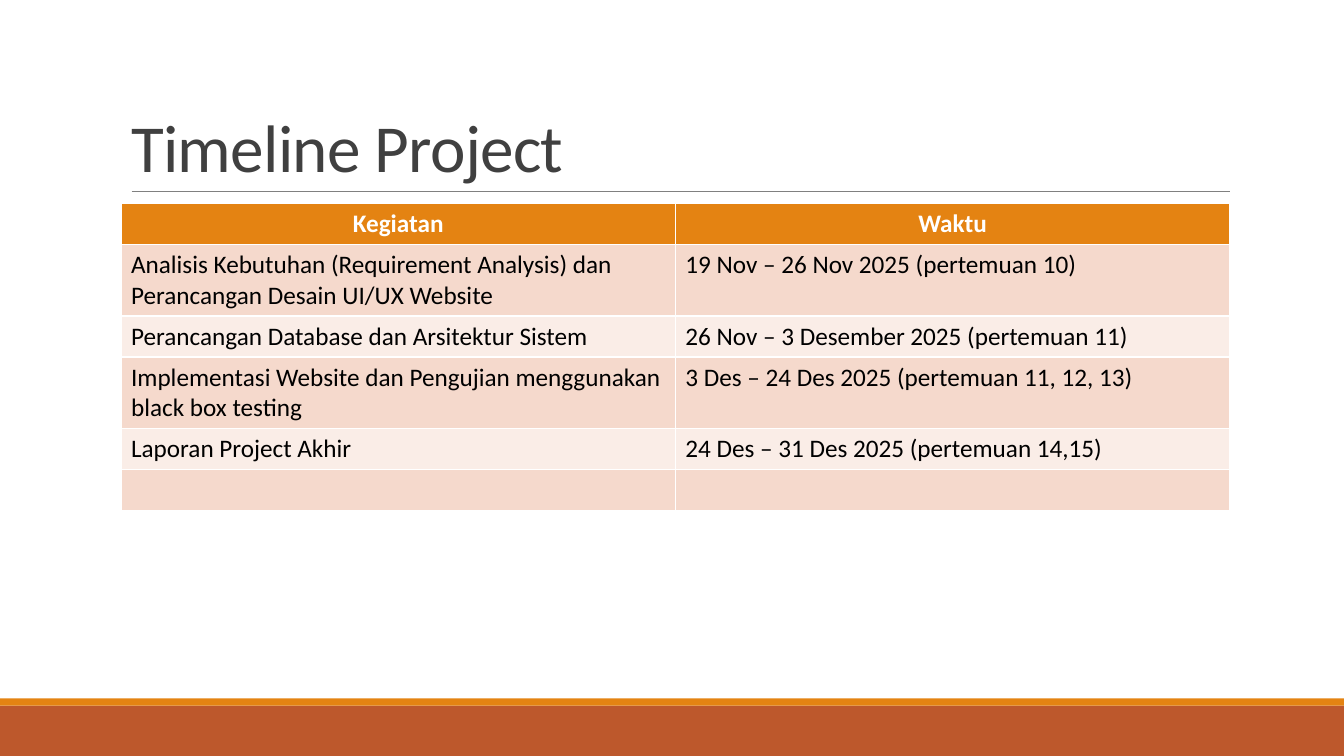
from pptx import Presentation
from pptx.dml.color import RGBColor
from pptx.enum.shapes import MSO_CONNECTOR, MSO_SHAPE
from pptx.enum.text import MSO_ANCHOR, MSO_AUTO_SIZE, PP_ALIGN
from pptx.oxml.ns import qn
from pptx.util import Cm, Pt
from lxml import etree

LINE = MSO_CONNECTOR.STRAIGHT
RECT = MSO_SHAPE.RECTANGLE
BOTTOM = MSO_ANCHOR.BOTTOM
FIXED = MSO_AUTO_SIZE.NONE
LEFT, CENTER = PP_ALIGN.LEFT, PP_ALIGN.CENTER

TITLE = "Timeline Project"
ROWS = [
    ("Kegiatan", "Waktu"),
    ("Analisis Kebutuhan (Requirement Analysis) dan Perancangan Desain UI/UX Website",
     "19 Nov – 26 Nov 2025 (pertemuan 10)"),
    ("Perancangan Database dan Arsitektur Sistem",
     "26 Nov – 3 Desember 2025 (pertemuan 11)"),
    ("Implementasi Website dan Pengujian menggunakan black box testing",
     "3 Des – 24 Des 2025 (pertemuan 11, 12, 13)"),
    ("Laporan Project Akhir", "24 Des – 31 Des 2025 (pertemuan 14,15)"),
    ("", ""),
]
COLORS = {
    "rust": "BD582C", "orange": "E48312", "rule": "808080", "title": "404040",
    "odd": "F5D9CC", "even": "FAEDE7", "white": "FFFFFF", "black": "000000",
}
FONT = "Calibri"
WIDE, HIGH = 33.87, 19.05
EDGE, SPAN = 3.05, 27.94
ROW = 1.03
BANDS = [("rust", 17.78, 1.27), ("orange", 17.6, 0.18)]


def color(name):
    return RGBColor.from_string(COLORS[name])


def style(para, size, name, bold=False):
    font = para.font
    font.name, font.size, font.bold = FONT, Pt(size), bold
    font.color.rgb = color(name)


def add_bands(slide):
    for name, top, tall in BANDS:
        band = slide.shapes.add_shape(RECT, 0, Cm(top), Cm(WIDE), Cm(tall))
        band.shadow.inherit = False
        band.fill.solid()
        band.fill.fore_color.rgb = color(name)
        band.line.fill.background()


def add_rule(slide):
    rule = slide.shapes.add_connector(LINE, Cm(3.32), Cm(4.82), Cm(31), Cm(4.82))
    rule.line.color.rgb = color("rule")
    rule.line.width = Pt(0.5)
    etree.SubElement(rule._element.spPr, qn("a:effectLst"))


def set_title(slide):
    title = slide.shapes.title
    title.left, title.top = Cm(EDGE), Cm(0.79)
    title.width, title.height = Cm(SPAN), Cm(4.03)
    frame = title.text_frame
    frame.text = TITLE
    frame.word_wrap = True
    frame.auto_size = FIXED
    frame.vertical_anchor = BOTTOM
    para = frame.paragraphs[0]
    para.alignment = LEFT
    para.line_spacing = 0.85
    style(para, 48, "title")
    para.runs[0]._r.get_or_add_rPr().set("spc", "-50")


def add_plan(slide):
    count = len(ROWS)
    table = slide.shapes.add_table(
        count, 2, Cm(EDGE), Cm(5.13), Cm(SPAN), Cm(ROW * count)).table
    for i, row in enumerate(ROWS):
        head = i == 0
        fill = "orange" if head else ("odd" if i % 2 else "even")
        for j, text in enumerate(row):
            cell = table.cell(i, j)
            cell.text = text
            cell.fill.solid()
            cell.fill.fore_color.rgb = color(fill)
            para = cell.text_frame.paragraphs[0]
            para.alignment = CENTER if head else LEFT
            style(para, 18, "white" if head else "black", head)


def main():
    deck = Presentation()
    deck.slide_width, deck.slide_height = Cm(WIDE), Cm(HIGH)
    slide = deck.slides.add_slide(deck.slide_layouts[5])
    add_bands(slide)
    add_rule(slide)
    set_title(slide)
    add_plan(slide)
    deck.save("out.pptx")


if __name__ == "__main__":
    main()
